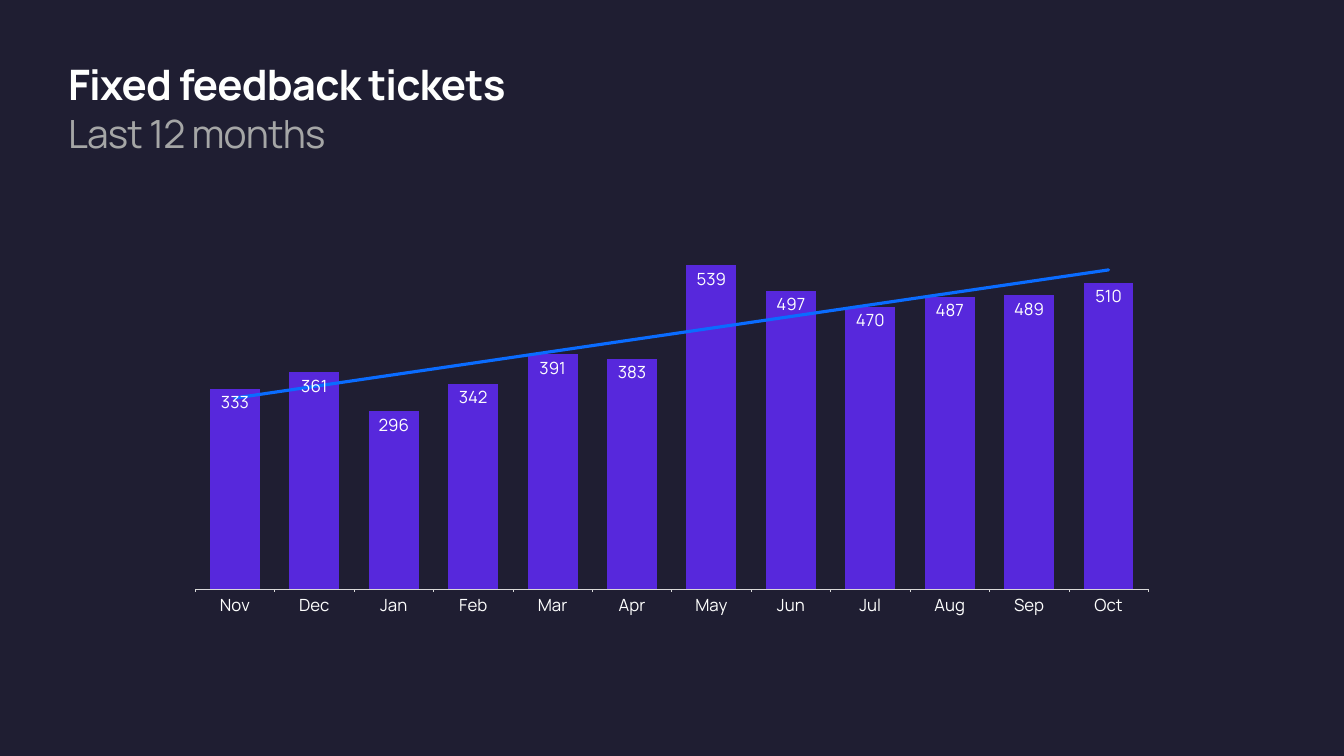
import pptx
import pptx.chart.data
import pptx.dml.color
import pptx.enum.chart
import pptx.enum.text
import pptx.oxml
import pptx.oxml.ns
import pptx.util
from dataclasses import dataclass

Inches = pptx.util.Inches
Pt = pptx.util.Pt


@dataclass(frozen=True)
class Theme:
    font: str = "Manrope"
    background: str = "1F1E32"
    white: str = "FEFFFE"
    gray: str = "A5A6A6"
    axis: str = "D9D9D9"
    bars: str = "5728DC"
    trend: str = "0A6CFF"
    title_size: float = 60
    subtitle_size: float = 55.5
    chart_size: float = 24


theme = Theme()


def rgb(value):
    return pptx.dml.color.RGBColor.from_string(value)


def write_heading(box, text, *, left, top, width, height, size, color, bold=False):
    box.left, box.top = Inches(left), Inches(top)
    box.width, box.height = Inches(width), Inches(height)
    frame = box.text_frame
    frame.word_wrap = True
    frame.auto_size = pptx.enum.text.MSO_AUTO_SIZE.NONE
    frame.vertical_anchor = pptx.enum.text.MSO_ANCHOR.MIDDLE
    frame.margin_left = frame.margin_right = Inches(0.1)
    frame.margin_top = frame.margin_bottom = 0
    para = frame.paragraphs[0]
    para.alignment = pptx.enum.text.PP_ALIGN.LEFT
    para.line_spacing = Pt(68)
    para.space_before = Pt(0)
    span = para.add_run()
    span.text = text
    span.font.name = theme.font
    span.font.size = Pt(size)
    span.font.bold = bold
    span.font.color.rgb = rgb(color)
    span.font._element.set("spc", "-120")


deck = pptx.Presentation()
deck.slide_width, deck.slide_height = Inches(26.67), Inches(15)
page = deck.slides.add_slide(deck.slide_layouts[0])
page.background.fill.solid()
page.background.fill.fore_color.rgb = rgb(theme.background)

write_heading(page.shapes.title, "Fixed feedback tickets", left=1.25, top=1.17, width=13.47,
              height=1.03, size=theme.title_size, color=theme.white, bold=True)
write_heading(page.placeholders[1], "Last 12 months", left=1.25, top=2.11, width=7.67,
              height=1.03, size=theme.subtitle_size, color=theme.gray)

# Monthly tickets
tickets = {"Nov": 333, "Dec": 361, "Jan": 296, "Feb": 342, "Mar": 391, "Apr": 383,
           "May": 539, "Jun": 497, "Jul": 470, "Aug": 487, "Sep": 489, "Oct": 510}
data = pptx.chart.data.CategoryChartData()
data.categories = list(tickets)
data.add_series("Series 1", list(tickets.values()))
chart = page.shapes.add_chart(
    pptx.enum.chart.XL_CHART_TYPE.COLUMN_CLUSTERED,
    Inches(3.48), Inches(4.38), Inches(19.7), Inches(8.03), data).chart
chart.has_legend = False
chart.has_title = False
chart.font.name = theme.font
chart.font.size = Pt(theme.chart_size)
chart.font.color.rgb = rgb(theme.white)

months = chart.category_axis
months.major_tick_mark = pptx.enum.chart.XL_TICK_MARK.OUTSIDE
months.format.line.color.rgb = rgb(theme.axis)
months.format.line.width = Pt(0.75)
scale = chart.value_axis
scale.minimum_scale, scale.maximum_scale = 0, 600
scale.has_major_gridlines = False
scale.visible = False

plot = chart.plots[0]
plot.gap_width, plot.overlap = 59, -27
plot.vary_by_categories = False
columns = plot.series[0]
columns.format.fill.solid()
columns.format.fill.fore_color.rgb = rgb(theme.bars)
labels = columns.data_labels
labels.show_value = True
labels.position = pptx.enum.chart.XL_LABEL_POSITION.INSIDE_END
labels.font.name = theme.font
labels.font.size = Pt(theme.chart_size)
labels.font.color.rgb = rgb(theme.white)

# Linear trend line
namespaces = pptx.oxml.ns.nsdecls("c", "a")
trend = pptx.oxml.parse_xml(
    f'<c:trendline {namespaces}><c:spPr><a:ln w="{Pt(4.5)}" cap="rnd"><a:solidFill>'
    f'<a:srgbClr val="{theme.trend}"/></a:solidFill><a:prstDash val="solid"/></a:ln></c:spPr>'
    '<c:trendlineType val="linear"/><c:dispRSqr val="0"/><c:dispEq val="0"/></c:trendline>')
columns._element.find(pptx.oxml.ns.qn("c:cat")).addprevious(trend)

# Fixed plot area, as shares of the chart
plot_area = plot._element.getparent()
for old_layout in plot_area.findall(pptx.oxml.ns.qn("c:layout")):
    plot_area.remove(old_layout)
shares = {"x": 0.02, "y": 0.02, "w": 0.96, "h": 0.89}
modes = '<c:xMode val="edge"/><c:yMode val="edge"/>'
sizes = "".join(f'<c:{side} val="{share}"/>' for side, share in shares.items())
plot_area.insert(0, pptx.oxml.parse_xml(
    f'<c:layout {namespaces}><c:manualLayout><c:layoutTarget val="inner"/>'
    f'{modes}{sizes}</c:manualLayout></c:layout>'))

deck.save("out.pptx")
